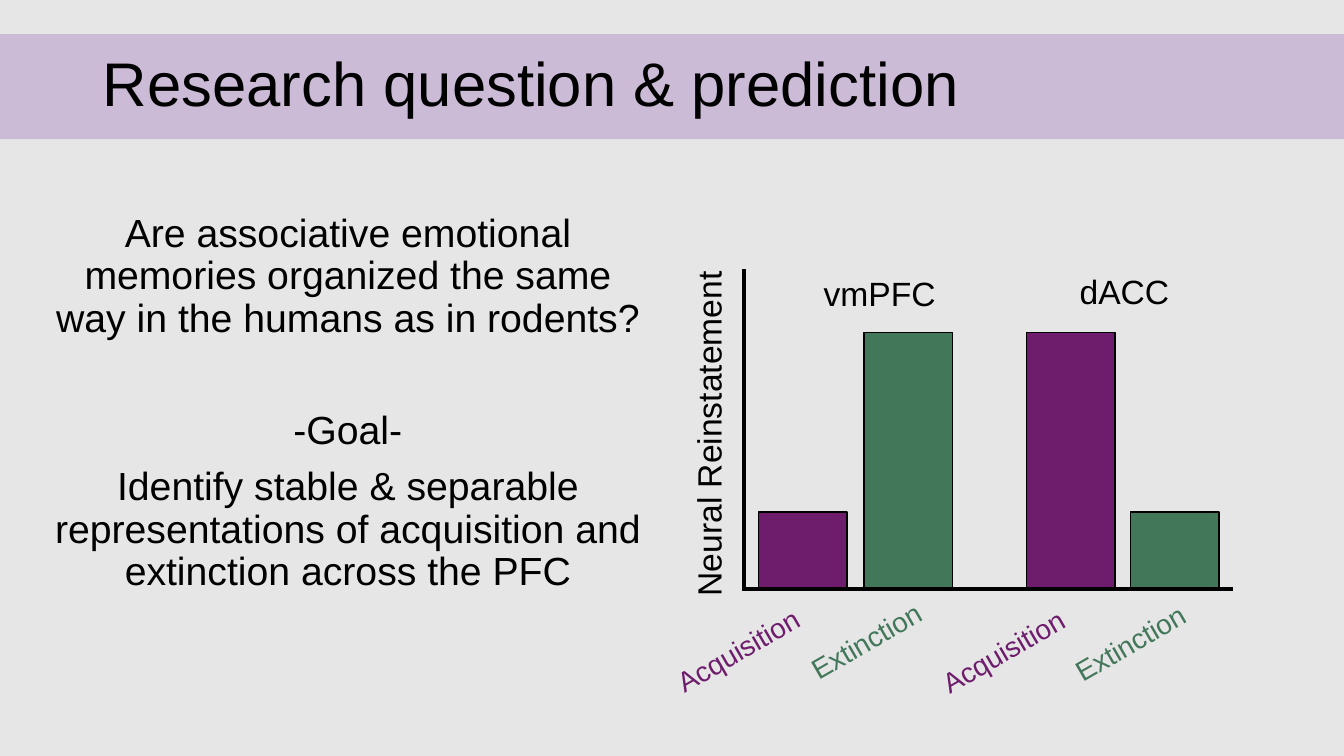
"""Builds the research question slide with its schematic bar plot."""
from dataclasses import dataclass

from lxml.etree import SubElement
from pptx import Presentation
from pptx.dml.color import RGBColor
from pptx.enum.shapes import MSO_CONNECTOR, MSO_SHAPE
from pptx.enum.text import MSO_ANCHOR, PP_ALIGN
from pptx.oxml.ns import qn
from pptx.slide import Slide
from pptx.text.text import TextFrame
from pptx.util import Inches, Pt

FONT = "Arial"
BLACK = RGBColor(0x00, 0x00, 0x00)
BACKGROUND = RGBColor(0xE6, 0xE6, 0xE6)
LILAC = RGBColor(0xCB, 0xBB, 0xD6)
PURPLE = RGBColor(0x6E, 0x1D, 0x6D)
GREEN = RGBColor(0x42, 0x77, 0x5A)

BASELINE = 5.83
BAR_WIDTH = 0.88
LOW, HIGH = 0.75, 2.53


@dataclass(frozen=True)
class Bar:
    left: float
    height: float
    color: RGBColor


@dataclass(frozen=True)
class Label:
    text: str
    left: float
    top: float
    width: float
    height: float
    size: int
    color: RGBColor = BLACK
    rotation: int = 0
    align: PP_ALIGN = PP_ALIGN.LEFT


@dataclass(frozen=True)
class Axis:
    start: tuple[float, float]
    end: tuple[float, float]


@dataclass(frozen=True)
class Statement:
    text: str
    space_before: float


BARS = [
    Bar(7.52, LOW, PURPLE),
    Bar(8.57, HIGH, GREEN),
    Bar(10.18, HIGH, PURPLE),
    Bar(11.21, LOW, GREEN),
]


def condition(text: str, left: float, top: float, width: float, color: RGBColor) -> Label:
    return Label(text, left, top, width, 0.44, 20, color, 330, PP_ALIGN.CENTER)


LABELS = [
    Label("vmPFC", 8.07, 2.66, 1.32, 0.5, 24),
    Label("dACC", 10.61, 2.64, 1.1, 0.5, 24),
    Label("Neural Reinstatement", 5.25, 3.99, 3.55, 0.5, 24, rotation=270),
    condition("Acquisition", 6.54, 6.23, 1.56, PURPLE),
    condition("Extinction", 7.88, 6.14, 1.42, GREEN),
    condition("Acquisition", 9.17, 6.24, 1.56, PURPLE),
    condition("Extinction", 10.5, 6.16, 1.42, GREEN),
]

AXES = [Axis((7.38, 2.67), (7.38, 5.83)), Axis((7.36, 5.84), (12.23, 5.84))]

STATEMENTS = [
    Statement("Are associative emotional memories organized the same way "
              "in the humans as in rodents?", 0),
    Statement("-Goal-", 50),
    Statement("Identify stable & separable representations of acquisition "
              "and extinction across the PFC", 10),
]


def style_text(frame: TextFrame, size: int, color: RGBColor, align: PP_ALIGN) -> None:
    for paragraph in frame.paragraphs:
        paragraph.alignment = align
        for span in paragraph.runs:
            span.font.name = FONT
            span.font.size = Pt(size)
            span.font.color.rgb = color


def add_title(page: Slide) -> None:
    band = page.shapes.add_shape(
        MSO_SHAPE.RECTANGLE, 0, Inches(0.34), Inches(13.33), Inches(1.04))
    band.shadow.inherit = False
    band.fill.solid()
    band.fill.fore_color.rgb = LILAC
    band.line.fill.background()

    title = page.shapes.title
    title.left, title.top = Inches(0.92), Inches(0.13)
    title.width, title.height = Inches(11.5), Inches(1.45)
    frame = title.text_frame
    frame.text = "Research question & prediction"
    frame.vertical_anchor = MSO_ANCHOR.MIDDLE
    frame.paragraphs[0].line_spacing = 0.9
    style_text(frame, 44, BLACK, PP_ALIGN.LEFT)
    title.element.addprevious(band.element)


def add_statements(page: Slide) -> None:
    box = page.shapes.add_textbox(Inches(0.4), Inches(2.07), Inches(6.1), Inches(4))
    frame = box.text_frame
    frame.word_wrap = True
    frame.text = "\n".join(statement.text for statement in STATEMENTS)
    for paragraph, statement in zip(frame.paragraphs, STATEMENTS):
        paragraph.line_spacing = 0.9
        paragraph.space_before = Pt(statement.space_before)
    style_text(frame, 28, BLACK, PP_ALIGN.CENTER)


def add_bar(page: Slide, bar: Bar) -> None:
    shape = page.shapes.add_shape(
        MSO_SHAPE.RECTANGLE, Inches(bar.left), Inches(BASELINE - bar.height),
        Inches(BAR_WIDTH), Inches(bar.height))
    shape.shadow.inherit = False
    shape.fill.solid()
    shape.fill.fore_color.rgb = bar.color
    shape.line.color.rgb = BLACK
    shape.line.width = Pt(1)


def add_label(page: Slide, label: Label) -> None:
    box = page.shapes.add_textbox(
        Inches(label.left), Inches(label.top), Inches(label.width), Inches(label.height))
    box.rotation = label.rotation
    box.text_frame.word_wrap = False
    box.text_frame.text = label.text
    style_text(box.text_frame, label.size, label.color, label.align)


def add_axis(page: Slide, axis: Axis) -> None:
    points = [Inches(value) for value in axis.start + axis.end]
    line = page.shapes.add_connector(MSO_CONNECTOR.STRAIGHT, *points)
    line.line.color.rgb = BLACK
    line.line.width = Pt(3)
    SubElement(line.element.spPr, qn("a:effectLst"))


def main() -> None:
    deck = Presentation()
    deck.slide_width, deck.slide_height = Inches(13.33), Inches(7.5)
    page = deck.slides.add_slide(deck.slide_layouts[5])
    page.background.fill.solid()
    page.background.fill.fore_color.rgb = BACKGROUND
    add_title(page)
    add_statements(page)
    for bar in BARS:
        add_bar(page, bar)
    for label in LABELS:
        add_label(page, label)
    for axis in AXES:
        add_axis(page, axis)
    deck.save("out.pptx")


if __name__ == "__main__":
    main()
